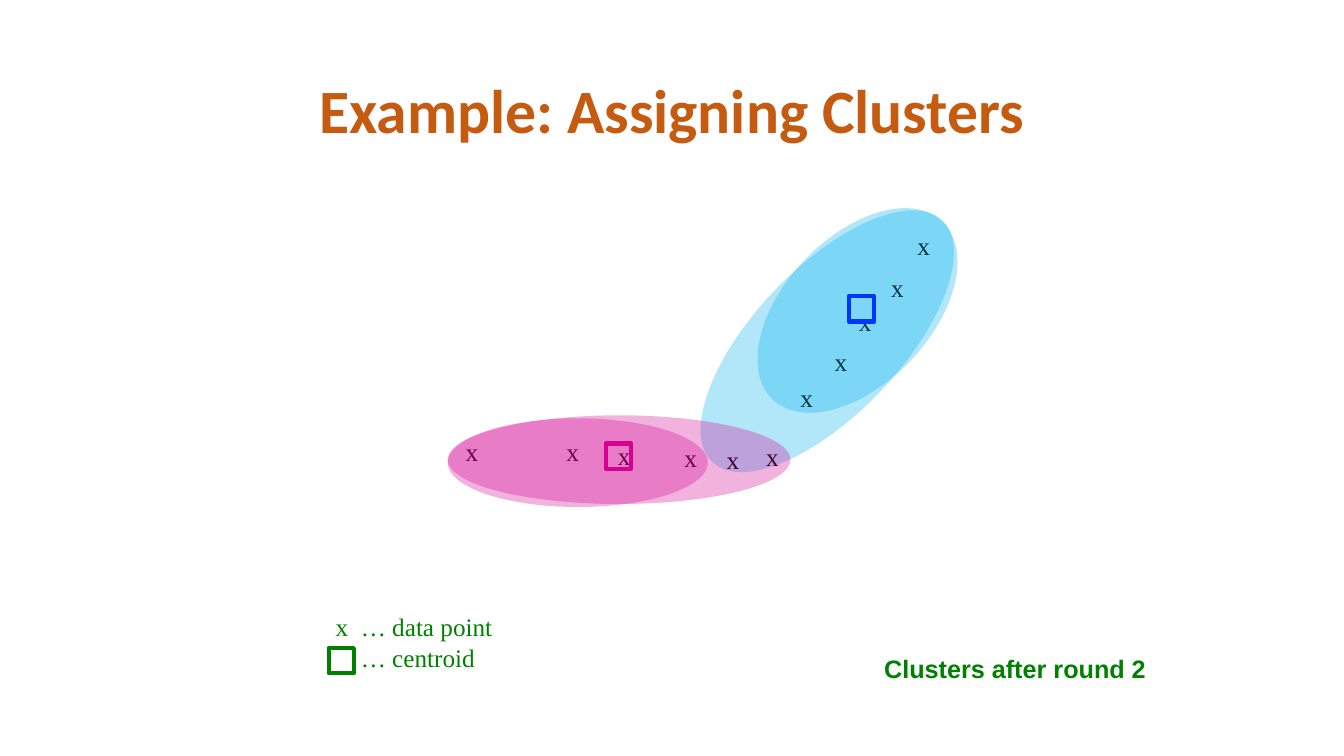
from lxml import etree
from pptx import Presentation
from pptx import util as u
from pptx.dml.color import RGBColor
from pptx.enum import shapes, text
from pptx.oxml.ns import qn

PX = 9144  # EMU per px, 100 px to the inch
GREEN, BLUE, PINK, SKY = "008000", "0000FF", "D60093", "00B0F0"
SERIF = "Times New Roman"
TILT = 43.6


def color(value):
    return RGBColor.from_string(value)


def write(paragraph, words, font=SERIF, size=18, fill="000000", bold=False):
    run = paragraph.add_run()
    run.text = words
    run.font.name = font
    run.font.size = u.Pt(size)
    run.font.bold = bold
    run.font.color.rgb = color(fill)


class Board:
    """Holds the slide and draws each kind of element on it."""

    def __init__(self, slide):
        self.slide = slide

    def box(self, left, top, width, height, wrap=False):
        shape = self.slide.shapes.add_textbox(*(n * PX for n in (left, top, width, height)))
        frame = shape.text_frame
        frame.word_wrap = wrap
        frame.auto_size = text.MSO_AUTO_SIZE.NONE if wrap else text.MSO_AUTO_SIZE.SHAPE_TO_FIT_TEXT
        return frame

    def label(self, words, left, top, width, height, **style):
        write(self.box(left, top, width, height).paragraphs[0], words, **style)

    def title(self, words, left, top, width, height):
        frame = self.box(left, top, width, height, wrap=True)
        frame.vertical_anchor = text.MSO_ANCHOR.MIDDLE
        paragraph = frame.paragraphs[0]
        paragraph.alignment = text.PP_ALIGN.CENTER
        paragraph.line_spacing = 0.9
        write(paragraph, words, font="Calibri", size=44, fill="C55A11", bold=True)

    def legend(self, rows, left, top, width, height, indent):
        frame = self.box(left, top, width, height, wrap=True)
        for index, (mark, words) in enumerate(rows):
            paragraph = frame.add_paragraph() if index else frame.paragraphs[0]
            # A mark hangs to the left of the indented description
            properties = paragraph._p.get_or_add_pPr()
            properties.set("marL", str(indent * PX))
            properties.set("indent", str(-indent * PX if mark else 0))
            write(paragraph, f"{mark}\t{words}" if mark else words, fill=GREEN)

    def shape(self, kind, left, top, width, height):
        shape = self.slide.shapes.add_shape(kind, *(n * PX for n in (left, top, width, height)))
        shape.shadow.inherit = False
        return shape

    def data_point(self, left, top):
        self.label("x", left, top, 33, 40)

    def centroid(self, left, top, line):
        square = self.shape(shapes.MSO_SHAPE.RECTANGLE, left, top, 25, 25)
        square.fill.background()
        square.line.color.rgb = color(line)
        square.line.width = u.Pt(3)

    def cluster(self, left, top, width, height, fill, rotation=0):
        oval = self.shape(shapes.MSO_SHAPE.OVAL, left, top, width, height)
        oval.rotation = rotation
        oval.line.fill.background()
        oval.fill.solid()
        oval.fill.fore_color.rgb = color(fill)
        tint = oval._element.spPr.find(qn("a:solidFill"))[0]
        etree.SubElement(tint, qn("a:alpha")).set("val", "30000")


def main():
    presentation = Presentation()
    presentation.slide_width, presentation.slide_height = 1333 * PX, 750 * PX
    board = Board(presentation.slides.add_slide(presentation.slide_layouts[6]))

    # Title, legend and caption
    board.title("Example: Assigning Clusters", 92, 40, 1150, 145)
    board.legend([("x", "… data point"), ("", "… centroid")], 323, 602, 190, 71, indent=25)
    board.centroid(326, 643, GREEN)
    board.label("Clusters after round 2", 867, 643, 282, 40, font="Arial", fill=GREEN, bold=True)

    # Sky cluster behind the data points
    board.cluster(748, 173, 145, 331, SKY, TILT)

    # Data points and the two centroids
    for left, top in [(669, 434), (900, 224), (603, 432), (842, 299), (552, 428), (784, 374),
                      (452, 428), (750, 433), (818, 339), (874, 265), (711, 436)]:
        board.data_point(left, top)
    board.centroid(842, 294, BLUE)
    board.centroid(601, 440, PINK)

    # Clusters in front
    board.cluster(444, 415, 258, 88, PINK)
    board.cluster(444, 412, 340, 88, PINK)
    board.cluster(778, 186, 145, 244, SKY, TILT)

    presentation.save("out.pptx")


if __name__ == "__main__":
    main()
